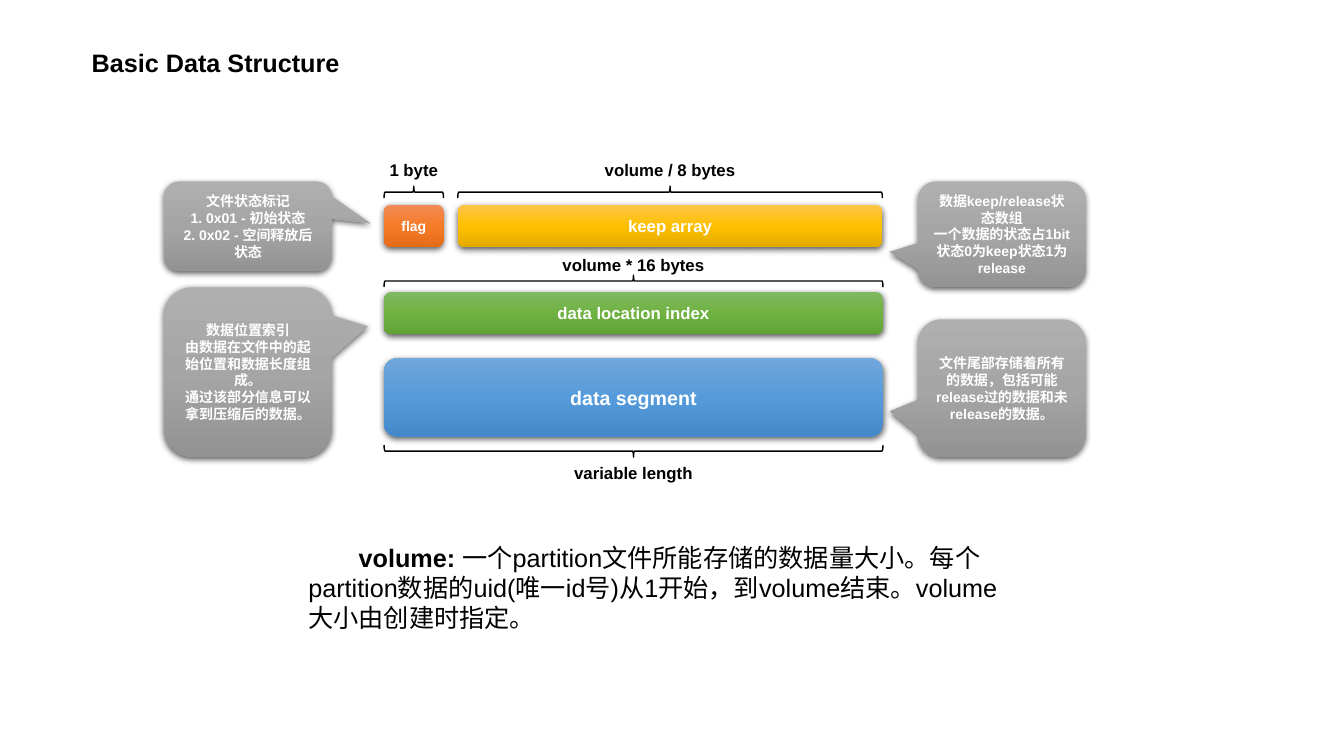
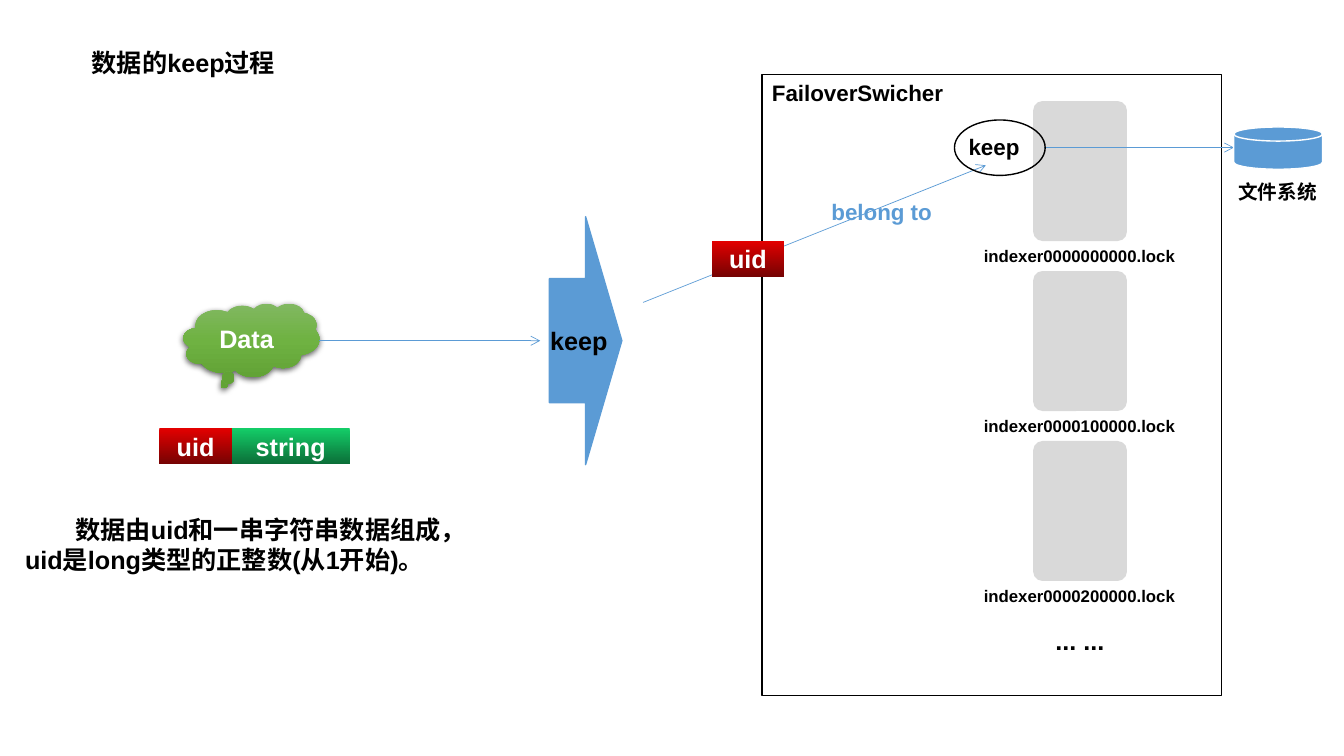
from copy import deepcopy

from lxml.etree import SubElement
from pptx import Presentation
from pptx.dml.color import RGBColor
from pptx.enum.shapes import MSO_CONNECTOR, MSO_SHAPE as SHAPE
from pptx.enum.text import MSO_ANCHOR as ANCHOR, PP_ALIGN as ALIGN
from pptx.oxml.ns import qn
from pptx.util import Pt

BLACK = RGBColor(0x00, 0x00, 0x00)
WHITE = RGBColor(0xFF, 0xFF, 0xFF)
BLUE = RGBColor(0x5B, 0x9B, 0xD5)
LIGHT_GRAY = RGBColor(0xD9, 0xD9, 0xD9)

# Gradients run from top to bottom with evenly spaced stops
ORANGE_FADE = (RGBColor(0xF1, 0x8C, 0x57), RGBColor(0xF6, 0x7B, 0x28), RGBColor(0xE5, 0x6C, 0x19))
GOLD_FADE = (RGBColor(0xFF, 0xC6, 0x4B), RGBColor(0xFF, 0xC0, 0x00), RGBColor(0xE3, 0xAB, 0x00))
GREEN_FADE = (RGBColor(0x81, 0xB8, 0x61), RGBColor(0x6F, 0xB2, 0x42), RGBColor(0x62, 0xA3, 0x36))
BLUE_FADE = (RGBColor(0x71, 0xA6, 0xDB), RGBColor(0x55, 0x9B, 0xDB), RGBColor(0x44, 0x8A, 0xCA))
GRAY_FADE = (RGBColor(0xAF, 0xAF, 0xAF), RGBColor(0xA5, 0xA5, 0xA5), RGBColor(0x93, 0x93, 0x93))
RED_FADE = (RGBColor(0xE3, 0x00, 0x00), RGBColor(0x76, 0x03, 0x03))
EMERALD_FADE = (RGBColor(0x14, 0xCD, 0x68), RGBColor(0x0B, 0x6E, 0x38))

FONT = "Arial"
TITLE_BOX = (58.3, 30.2, 346.3, 28.8)


def write(holder, lines, size, color=BLACK, align=ALIGN.CENTER, anchor=ANCHOR.TOP, indent=0):
    """Fill a shape with paragraphs, each a list of (text, bold) runs or one bold string."""
    frame = holder.text_frame
    frame.word_wrap = True
    frame.vertical_anchor = anchor
    for number, line in enumerate(lines):
        paragraph = frame.paragraphs[0] if number == 0 else frame.add_paragraph()
        paragraph.alignment = align
        if indent:
            paragraph._p.get_or_add_pPr().set("indent", str(Pt(indent)))
        for text, bold in [(line, True)] if isinstance(line, str) else line:
            run = paragraph.add_run()
            run.text = text
            run.font.name = FONT
            run.font.size = Pt(size)
            run.font.bold = bold
            run.font.color.rgb = color


def draw(slide, kind, box, fill=None, line=None, shadow=False):
    """Add a preset shape; fill is a colour, a tuple of gradient colours or None."""
    shape = slide.shapes.add_shape(kind, *map(Pt, box))
    shape.shadow.inherit = False
    if fill is None:
        shape.fill.background()
    elif isinstance(fill, RGBColor):
        shape.fill.solid()
        shape.fill.fore_color.rgb = fill
    else:
        shape.fill.gradient()
        shape.fill.gradient_angle = 270
        stop_list = shape._element.spPr.find(qn("a:gradFill")).find(qn("a:gsLst"))
        while len(stop_list) < len(fill):
            stop_list.append(deepcopy(stop_list[0]))
        for number, (stop, color) in enumerate(zip(shape.fill.gradient_stops, fill)):
            stop.position = number / (len(fill) - 1)
            stop.color.rgb = color
    if line is None:
        shape.line.fill.background()
    else:
        shape.line.color.rgb = line
        shape.line.width = Pt(1)
    if shadow:
        effects = shape._element.spPr.find(qn("a:effectLst"))
        outer = SubElement(effects, qn("a:outerShdw"), blurRad=str(Pt(4.5)), dist=str(Pt(1.5)),
                           dir="5400000", algn="ctr", rotWithShape="0")
        tint = SubElement(outer, qn("a:srgbClr"), val="000000")
        SubElement(tint, qn("a:alpha"), val="63000")
    return shape


deck = Presentation()
deck.slide_width, deck.slide_height = Pt(960), Pt(540)

slides = []
for heading in ("Basic Data Structure", "数据的keep过程"):
    slide = deck.slides.add_slide(deck.slide_layouts[5])
    title = slide.shapes.title
    title.left, title.top, title.width, title.height = map(Pt, TITLE_BOX)
    write(title, [heading], 18, align=ALIGN.LEFT)
    slides.append(slide)
structure, keeping = slides

# Slide 1: file layout
LEFT, WIDTH = 274.3, 356.4
FLAG_WIDTH, ARRAY_LEFT, ARRAY_WIDTH = 42.5, 327, 303.3
segments = [
    ("flag", (LEFT, 146.2, FLAG_WIDTH, 30.2), ORANGE_FADE, 10),
    ("keep array", (ARRAY_LEFT, 146.2, ARRAY_WIDTH, 30.2), GOLD_FADE, 12),
    ("data location index", (LEFT, 208.6, WIDTH, 30.2), GREEN_FADE, 12),
    ("data segment", (LEFT, 255.6, WIDTH, 56.2), BLUE_FADE, 14),
]
for name, box, fade, size in segments:
    segment = draw(structure, SHAPE.ROUNDED_RECTANGLE, box, fade, shadow=True)
    write(segment, [name], size, WHITE, anchor=ANCHOR.MIDDLE)

BRACE_DEPTH = 8.6
lengths = [
    ("1 byte", LEFT, FLAG_WIDTH, 137.2, 270, 110.9),
    ("volume / 8 bytes", ARRAY_LEFT, ARRAY_WIDTH, 137.2, 270, 110.9),
    ("volume * 16 bytes", LEFT, WIDTH, 200.7, 270, 178.4),
    ("variable length", LEFT, WIDTH, 322.2, 90, 326.9),
]
for label, left, span, brace_y, turn, label_top in lengths:
    center = left + span / 2
    brace_box = (center - BRACE_DEPTH / 2, brace_y - span / 2, BRACE_DEPTH, span)
    brace = draw(structure, SHAPE.RIGHT_BRACE, brace_box, line=BLACK)
    brace.rotation = turn
    label_width = min(150, span + 34)
    caption = structure.shapes.add_textbox(
        Pt(center - label_width / 2), Pt(label_top), Pt(label_width), Pt(21.6))
    write(caption, [label], 12)

callouts = [
    ((117.4, 129.6, 119.5, 64.1), (0.729, -0.034),
     ["文件状态标记", "1. 0x01 - 初始状态", "2. 0x02 - 空间释放后状态"]),
    ((655.9, 129.6, 119.5, 75.6), (-0.667, 0.166),
     ["数据keep/release状态数组", "一个数据的状态占1bit", "状态0为keep状态1为release"]),
    ((117.4, 205.2, 119.5, 121), (0.716, -0.269),
     ["数据位置索引", "由数据在文件中的起始位置和数据长度组成。",
      "通过该部分信息可以拿到压缩后的数据。"]),
    ((655.9, 228.2, 119.5, 98.6), (-0.667, 0.166),
     ["文件尾部存储着所有的数据，包括可能release过的数据和未release的数据。"]),
]
for box, pointer, lines in callouts:
    callout = draw(structure, SHAPE.ROUNDED_RECTANGULAR_CALLOUT, box, GRAY_FADE, shadow=True)
    callout.adjustments[0], callout.adjustments[1] = pointer
    write(callout, lines, 10, WHITE, anchor=ANCHOR.MIDDLE)

volume_note = structure.shapes.add_textbox(Pt(213.1), Pt(383.8), Pt(512.6), Pt(72.7))
write(volume_note, [[
    ("volume: ", True),
    ("一个partition文件所能存储的数据量大小。每个partition数据的uid(唯一id号)从1开始，"
     "到volume结束。volume大小由创建时指定。", False),
]], 18, align=ALIGN.LEFT, indent=36)

# Slide 2: shapes of the keep flow
labels = [("... ...", (721.4, 442.8, 100.1, 28.8), 18, BLACK, ALIGN.CENTER)]
for number in range(3):
    top = 72.2 + number * 121.4
    indexer = draw(keeping, SHAPE.ROUNDED_RECTANGLE, (738, top, 67, 100), LIGHT_GRAY)
    indexer.adjustments[0] = 0.1
    labels.append((f"indexer0000{number}00000.lock", (678.2, top + 100, 185.8, 21.6),
                   12, BLACK, ALIGN.CENTER))

draw(keeping, SHAPE.RIGHT_ARROW, (392.4, 154.8, 51.8, 177.1), BLUE, BLUE)
data_cloud = draw(keeping, SHAPE.CLOUD_CALLOUT, (131, 216.7, 97.2, 52.6), GREEN_FADE, shadow=True)
write(data_cloud, ["Data"], 18, WHITE, anchor=ANCHOR.MIDDLE)
draw(keeping, SHAPE.RECTANGLE, (544.3, 53.3, 328.3, 443.5), line=BLACK)

arrows = [
    (459.4, 216, 704.2, 118.1),
    (746, 105.4, 881.3, 105.4),
    (228.2, 243.4, 385.9, 243.4),
]
for ends in arrows:
    arrow = keeping.shapes.add_connector(MSO_CONNECTOR.STRAIGHT, *map(Pt, ends))
    arrow.line.color.rgb = BLUE
    arrow.line.width = Pt(0.5)
    SubElement(arrow.line._get_or_add_ln(), qn("a:tailEnd"), type="arrow")
    SubElement(arrow._element.spPr, qn("a:effectLst"))

fields = [
    ("uid", (113.8, 306, 51.8, 25.5), RED_FADE),
    ("string", (165.6, 306, 84.2, 25.5), EMERALD_FADE),
    ("uid", (508.3, 172.1, 51.8, 25.5), RED_FADE),
]
for name, box, fade in fields:
    field = draw(keeping, SHAPE.RECTANGLE, box, fade)
    write(field, [name], 18, WHITE, anchor=ANCHOR.MIDDLE)

draw(keeping, SHAPE.OVAL, (681.8, 85.7, 64.8, 39.6), line=BLACK)
draw(keeping, SHAPE.FLOWCHART_MAGNETIC_DISK, (881.3, 90.7, 63.4, 30.2), BLUE, WHITE)

labels += [
    ("keep", (385.9, 229, 69.1, 28.8), 18, BLACK, ALIGN.LEFT),
    ("FailoverSwicher", (544.3, 53.3, 177.1, 26.6), 16, BLACK, ALIGN.LEFT),
    ("belong to", (586.8, 138.2, 107.3, 26.6), 16, BLUE, ALIGN.LEFT),
    ("keep", (684.7, 91.4, 68.4, 26.6), 16, BLACK, ALIGN.LEFT),
    ("文件系统", (874.8, 125.3, 75.6, 24.5), 14, BLACK, ALIGN.CENTER),
]
for text, box, size, color, align in labels:
    label = keeping.shapes.add_textbox(*map(Pt, box))
    write(label, [text], size, color, align)

data_note = keeping.shapes.add_textbox(Pt(10.8), Pt(363.6), Pt(338.4), Pt(51.1))
write(data_note, ["数据由uid和一串字符串数据组成，uid是long类型的正整数(从1开始)。"],
      18, align=ALIGN.LEFT, indent=36)

deck.save("out.pptx")
